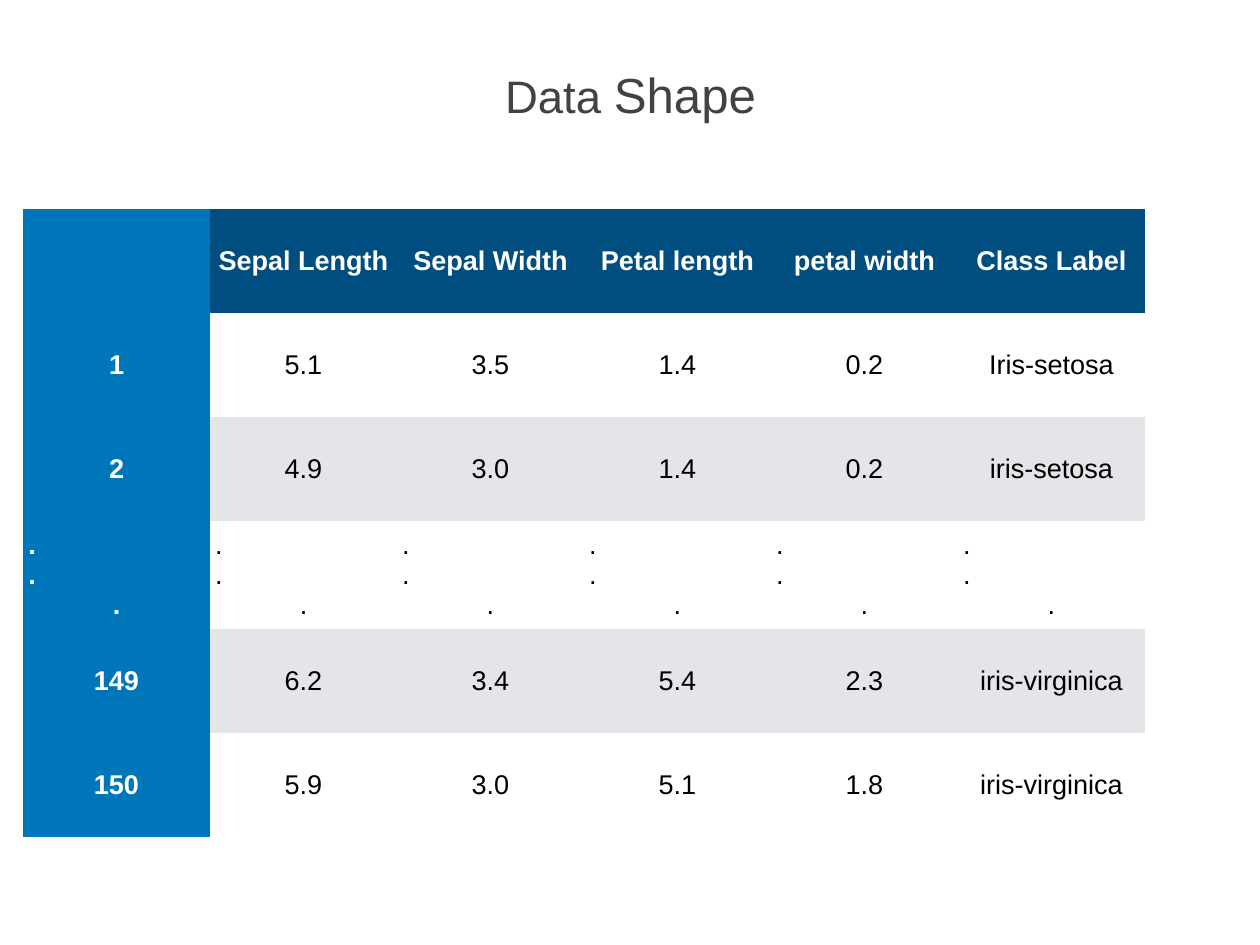
from pptx import Presentation
from pptx.dml.color import RGBColor
from pptx.enum.text import MSO_ANCHOR, MSO_AUTO_SIZE, PP_ALIGN
from pptx.oxml.ns import qn
from pptx.util import Cm, Pt

LEFT, CENTER = PP_ALIGN.LEFT, PP_ALIGN.CENTER
MIDDLE = MSO_ANCHOR.MIDDLE
GROW = MSO_AUTO_SIZE.SHAPE_TO_FIT_TEXT

NAVY = RGBColor(0x00, 0x4D, 0x80)
BLUE = RGBColor(0x00, 0x76, 0xBA)
GREY = RGBColor(0xE3, 0xE5, 0xE8)
DARK = RGBColor(0x42, 0x42, 0x42)
WHITE = RGBColor(0xFF, 0xFF, 0xFF)
BLACK = RGBColor(0x00, 0x00, 0x00)
FACE = "Arial"
PLAIN = "{2D5ABB26-0587-4C30-8999-92F81FD0307C}"  # table style without grid

# Content
TITLE = [("Data ", 37), ("Shape", 40)]
DOTS = ".\n.\n."
ROWS = [
    ["", "Sepal Length", "Sepal Width", "Petal length", "petal width", "Class Label"],
    ["1", "5.1", "3.5", "1.4", "0.2", "Iris-setosa"],
    ["2", "4.9", "3.0", "1.4", "0.2", "iris-setosa"],
    [DOTS] * 6,
    ["149", "6.2", "3.4", "5.4", "2.3", "iris-virginica"],
    ["150", "5.9", "3.0", "5.1", "1.8", "iris-virginica"],
]

# Layout
COL, ROW, PAD = Cm(5.36), Cm(2.98), Cm(0.15)


def inset(box):
    box.margin_left = box.margin_right = PAD
    box.margin_top = box.margin_bottom = PAD


def shade(row, col):
    if col == 0:
        return BLUE
    if row == 0:
        return NAVY
    return WHITE if row % 2 else GREY


def fill_cell(cell, text, row, col):
    head = row == 0 or col == 0
    cell.fill.solid()
    cell.fill.fore_color.rgb = shade(row, col)
    cell.vertical_anchor = MIDDLE
    inset(cell)
    cell.text = text
    paras = cell.text_frame.paragraphs
    for para in paras:
        # Only the last line of a cell is centred
        para.alignment = LEFT
        para.font.name, para.font.size = FACE, Pt(22)
        para.font.bold = head
        para.font.color.rgb = WHITE if head else BLACK
    paras[-1].alignment = CENTER


def add_title(slide):
    title = slide.shapes.title
    title.left, title.top = Cm(13.34), Cm(1.73)
    title.width, title.height = Cm(9.47), Cm(1.93)
    frame = title.text_frame
    frame.word_wrap, frame.auto_size = True, GROW
    frame.vertical_anchor = MIDDLE
    inset(frame)
    para = frame.paragraphs[0]
    para.alignment = CENTER
    for text, size in TITLE:
        run = para.add_run()
        run.text = text
        run.font.name, run.font.size = FACE, Pt(size)
        run.font.color.rgb = DARK


def add_grid(slide):
    high, wide = len(ROWS), len(ROWS[0])
    frame = slide.shapes.add_table(
        high, wide, Cm(0.66), Cm(6), COL * wide, ROW * high)
    table = frame.table
    table.first_col = True
    frame._element.find(".//" + qn("a:tableStyleId")).text = PLAIN
    for row, texts in enumerate(ROWS):
        for col, text in enumerate(texts):
            fill_cell(table.cell(row, col), text, row, col)


def main():
    deck = Presentation()
    deck.slide_width, deck.slide_height = Cm(36.12), Cm(27.1)
    slide = deck.slides.add_slide(deck.slide_layouts[5])
    add_grid(slide)
    add_title(slide)
    deck.save("out.pptx")


if __name__ == "__main__":
    main()
